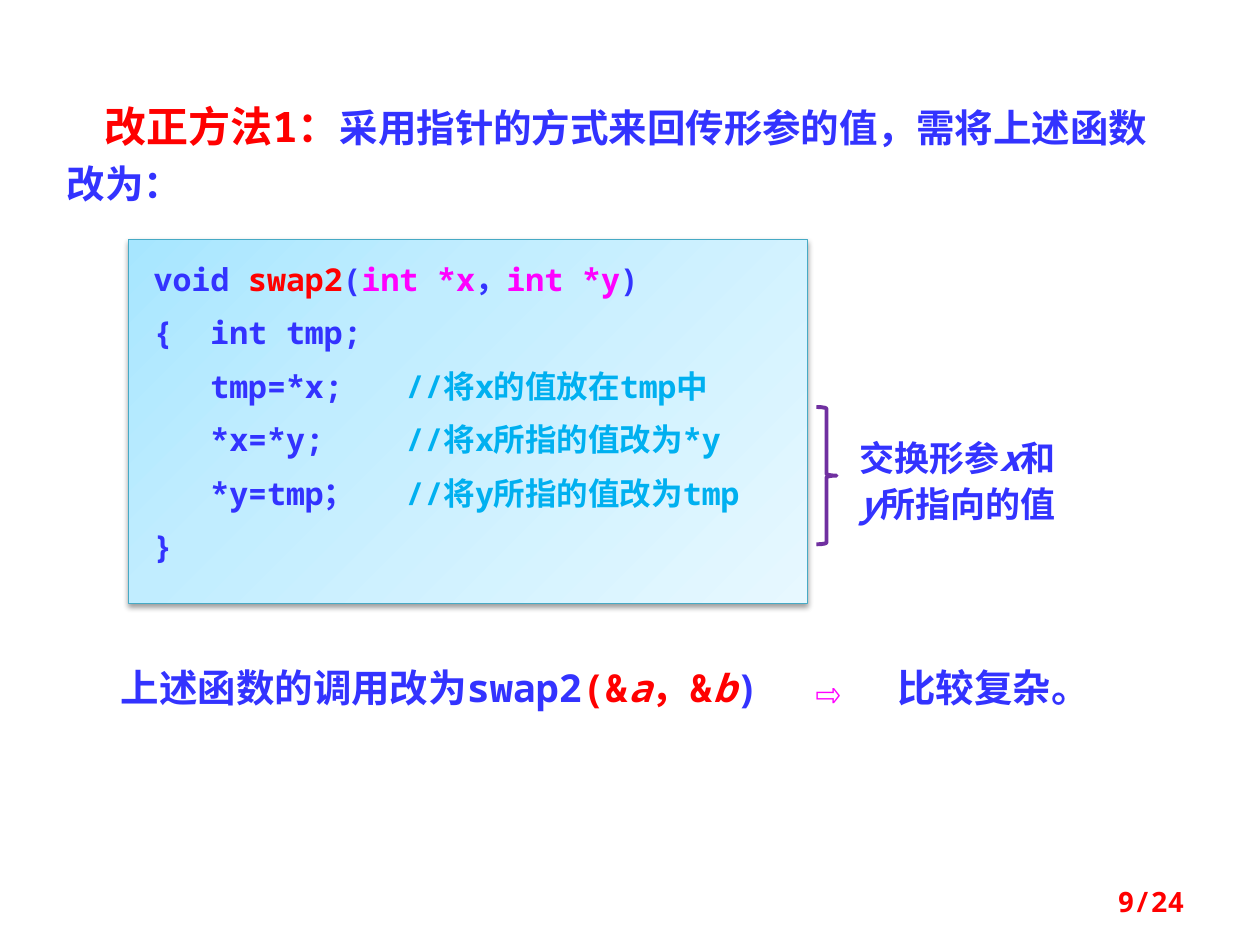
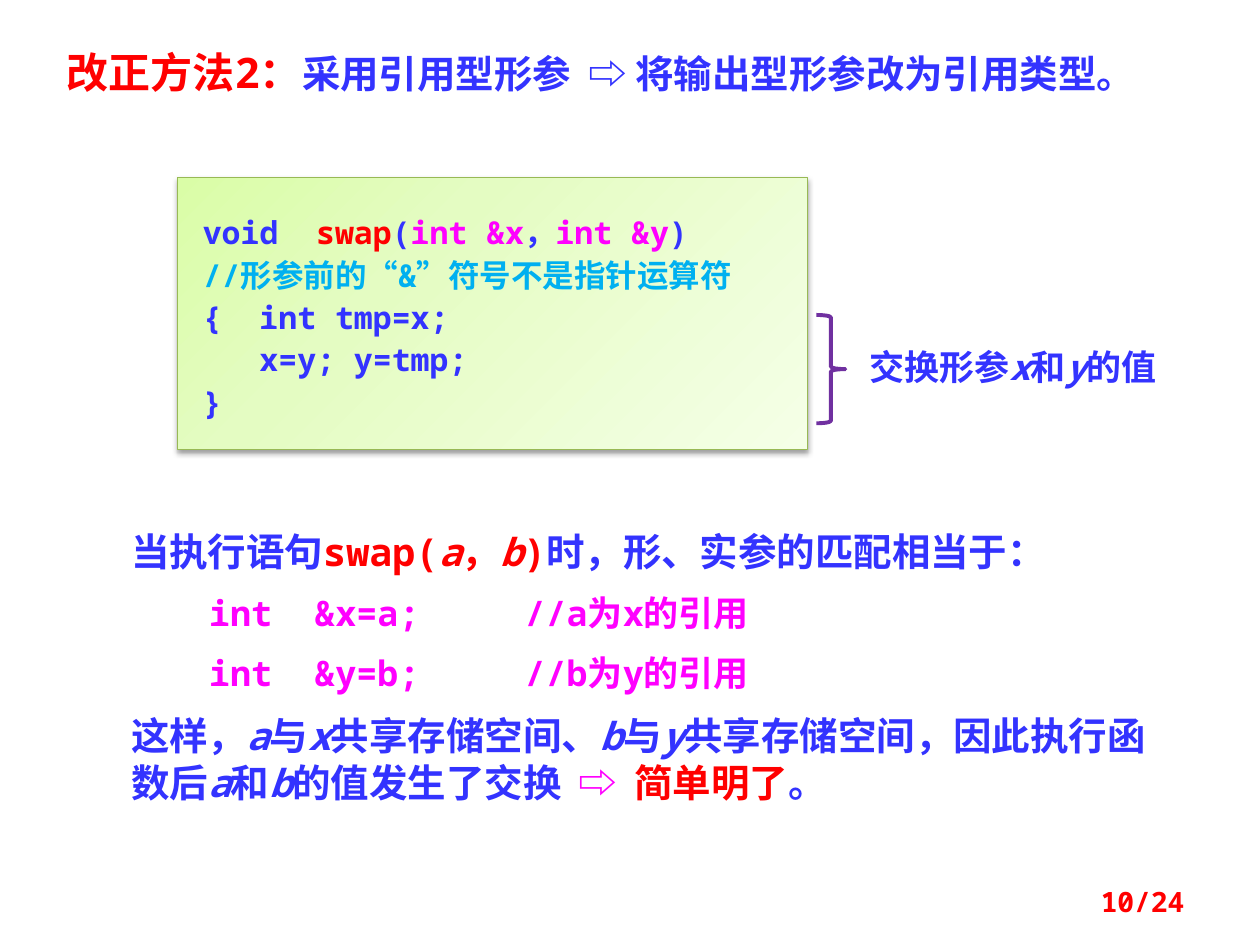
"""Build two slides on swapping values through pointer and reference parameters."""
from typing import NamedTuple

from lxml import etree
from pptx import Presentation
from pptx import util as u
from pptx.dml.color import RGBColor
from pptx.enum import shapes, text
from pptx.oxml import ns

FONT = "Noto Sans Mono"
TOTAL = 24
HUES = {
    "blue": "3333FF", "red": "FF0000", "pink": "FF00FF", "sky": "00B0F0",
    "brace": "7030A0", "aqua": "46AAC5", "lime": "98B955", "black": "000000",
}
FILLS = {
    "aqua": ("A7E6FF", "C1EDFF", "E7F8FF"),
    "lime": ("DAFDA7", "E4FCC2", "F5FFE7"),
}
STOPS = (0, 35, 100)


class Box(NamedTuple):
    """Left, top, width and height in inches."""
    left: float
    top: float
    width: float
    height: float


class Run(NamedTuple):
    """Text of one colour; underscores enclose slanted letters."""
    text: str
    hue: str = "blue"
    size: float = 0
    track: float = 0


class Para(NamedTuple):
    """Runs of one paragraph with its spacing, indent and tab stop."""
    runs: tuple
    size: float = 22
    lines: float | u.Length = 1.0
    indent: float = 0
    tab: float = 0


class Panel(NamedTuple):
    """A tinted panel of code."""
    box: Box
    tint: str
    paras: list


class Note(NamedTuple):
    """A brace and the caption beside it."""
    brace: Box
    box: Box
    text: str


class Page(NamedTuple):
    """All the content of one slide."""
    number: int
    head: Box
    title: Para
    panel: Panel
    note: Note
    body: Box
    paras: list


def place(box: Box) -> tuple:
    """Turn a box into lengths."""
    return tuple(u.Inches(side) for side in box)


def color(name: str) -> RGBColor:
    """Look up a named colour."""
    return RGBColor.from_string(HUES[name])


def node(parent, tag: str, **attrs):
    """Add a drawing element to its parent."""
    names = {key: str(value) for key, value in attrs.items()}
    return etree.SubElement(parent, ns.qn(f"a:{tag}"), names)


def write(shape, paras: list, *, align=text.PP_ALIGN.LEFT,
          anchor=text.MSO_ANCHOR.TOP) -> None:
    """Fill a shape with formatted paragraphs."""
    frame = shape.text_frame
    frame.word_wrap = True
    frame.auto_size = text.MSO_AUTO_SIZE.NONE
    frame.vertical_anchor = anchor
    for order, para in enumerate(paras):
        line = frame.add_paragraph() if order else frame.paragraphs[0]
        props = line._p.get_or_add_pPr()
        node(props, "buNone")
        if para.tab:
            node(node(props, "tabLst"), "tab", pos=u.Inches(para.tab), algn="l")
        else:
            props.set("marL", "0")
            props.set("indent", str(u.Inches(para.indent)))
        line.alignment = align
        line.line_spacing = para.lines
        line.space_before = u.Pt(para.size / 2 if order else 0)
        for part in para.runs:
            for turn, piece in enumerate(part.text.split("_")):
                if piece:
                    run = line.add_run()
                    run.text = piece
                    font = run.font
                    font.name, font.bold = FONT, True
                    font.size = u.Pt(part.size or para.size)
                    font.italic = turn % 2 == 1
                    font.color.rgb = color(part.hue)
                    if part.track:
                        font._element.set("spc", str(round(part.track * 100)))


def move(shape, box: Box) -> None:
    """Move a placeholder to a box."""
    shape.left, shape.top, shape.width, shape.height = place(box)


def draw_panel(slide, panel: Panel) -> None:
    """Draw a shaded code panel with a soft shadow."""
    shape = slide.shapes.add_shape(shapes.MSO_SHAPE.RECTANGLE, *place(panel.box))
    props = shape._element.spPr
    grad = node(props, "gradFill", rotWithShape=1)
    ramp = node(grad, "gsLst")
    for pos, tint in zip(STOPS, FILLS[panel.tint]):
        node(node(ramp, "gs", pos=pos * 1000), "srgbClr", val=tint)
    node(grad, "lin", ang=45 * 60000, scaled=0)
    shape.line.color.rgb = color(panel.tint)
    shape.line.width = u.Pt(0.75)
    shape.shadow.inherit = False
    cast = node(props.find(ns.qn("a:effectLst")), "outerShdw", blurRad=u.Pt(3.1),
                dist=u.Pt(1.6), dir=90 * 60000, rotWithShape=0)
    node(node(cast, "srgbClr", val=HUES["black"]), "alpha", val=38000)
    frame = shape.text_frame
    frame.margin_left = frame.margin_right = u.Inches(0.2)
    frame.margin_top = frame.margin_bottom = u.Inches(0.16)
    write(shape, panel.paras)


def draw_note(slide, note: Note) -> None:
    """Draw a brace with its caption."""
    brace = slide.shapes.add_shape(shapes.MSO_SHAPE.RIGHT_BRACE, *place(note.brace))
    brace.shadow.inherit = False
    brace.fill.background()
    brace.line.color.rgb = color("brace")
    brace.line.width = u.Pt(2.25)
    label = slide.shapes.add_textbox(*place(note.box))
    write(label, [Para((Run(note.text),), 20, 1.1)])


def draw_page(deck, page: Page) -> None:
    """Add one slide with its heading, code, note, body and number."""
    slide = deck.slides.add_slide(deck.slide_layouts[1])
    title, body = slide.placeholders
    move(title, page.head)
    write(title, [page.title])
    draw_panel(slide, page.panel)
    draw_note(slide, page.note)
    move(body, page.body)
    write(body, page.paras)
    foot = slide.shapes.add_textbox(*place(Box(7.17, 6.95, 2.33, 0.4)))
    write(foot, [Para((Run(f"{page.number}/{TOTAL}", "red"),), 16)],
          align=text.PP_ALIGN.RIGHT, anchor=text.MSO_ANCHOR.MIDDLE)


def sign(name: str, gap: str, mark: str) -> tuple:
    """Colour the signature of a swap function."""
    return (Run(f"void{gap}"), Run(name, "red"), Run("("), Run(f"int {mark}x", "pink"),
            Run("，"), Run(f"int {mark}y", "pink"), Run(")"))


def code(*runs: Run, lines: float = 1.0) -> Para:
    """Make one line of code."""
    return Para(runs, 18, lines, tab=2)


def space(track: float, hue: str = "blue") -> Run:
    """Make one space widened by some points."""
    return Run(" ", hue, track=track)


def refer(name: str, value: str) -> Para:
    """Make one line that binds a reference."""
    return Para((Run(f"int  &{name}={value};", "pink"), space(48, "pink"),
                 Run(f"//{value}为{name}的引用", "pink")), 20, indent=0.62)


WIDE, SLIM = 13.2, 4.9
STEPS = (("tmp=*x;", "将x的值放在tmp中"), ("*x=*y;", "将x所指的值改为*y"),
         ("*y=tmp；", "将y所指的值改为tmp"))
TIGHT = (Run("//形参前的“&”符号不是指针运算符", "sky"), Run("{  int tmp=x;"),
         Run("   x=y; y=tmp;"), Run("}"))

PAGES = (
    Page(
        9, Box(0.43, 0.7, 9, 0.96),
        Para((Run("改正方法1：", "red", 24),
              Run("采用指针的方式来回传形参的值，需将上述函数改为：")),
             lines=u.Pt(32), indent=0.3),
        Panel(Box(1.02, 1.9, 5.39, 2.89), "aqua", [
            code(*sign("swap2", " ", "*")),
            code(Run("{  int tmp;")),
            *(code(Run(f"   {step}\t"), Run(f"//{hint}", "sky")) for step, hint in STEPS),
            code(Run("}"))]),
        Note(Box(6.48, 3.23, 0.16, 1.09), Box(6.72, 3.38, 1.8, 0.84),
             "交换形参_x_和_y_所指向的值"),
        Box(0.86, 5.18, 8.36, 0.48),
        [Para((Run("上述函数的调用改为swap2"), Run("(&_a_，&_b_", "red"), Run(")"),
               space(WIDE), Run("⇨", "pink"), space(WIDE), Run("比较复杂。")),
              lines=1.1)]),
    Page(
        10, Box(0.43, 0.28, 9.26, 0.55),
        Para((Run("改正方法2：", "red", 24), Run("采用引用型形参"), space(SLIM),
              Run("⇨ 将输出型形参改为引用类型。")), lines=1.1),
        Panel(Box(1.41, 1.41, 5, 2.16), "lime", [
            code(*sign("swap", "  ", "&"), lines=1.4),
            *(code(run, lines=0.7) for run in TIGHT)]),
        Note(Box(6.48, 2.5, 0.23, 0.86), Box(6.8, 2.66, 2.66, 0.45),
             "交换形参_x_和_y_的值"),
        Box(0.94, 4.14, 8.35, 2.41),
        [Para((Run("当执行语句"), Run("swap(_a_，_b_)", "red"),
               Run("时，形、实参的匹配相当于："))),
         refer("x", "a"),
         refer("y", "b"),
         Para((Run("这样，_a_与_x_共享存储空间、_b_与_y_共享存储空间，因此执行函数后"
                   "_a_和_b_的值发生了交换"), space(SLIM), Run("⇨", "pink"),
               space(SLIM), Run("简单明了", "red"), Run("。")))]),
)


def main() -> None:
    """Build and save the slides."""
    deck = Presentation()
    deck.slide_width, deck.slide_height = u.Inches(10), u.Inches(7.5)
    for page in PAGES:
        draw_page(deck, page)
    deck.save("out.pptx")


if __name__ == "__main__":
    main()
